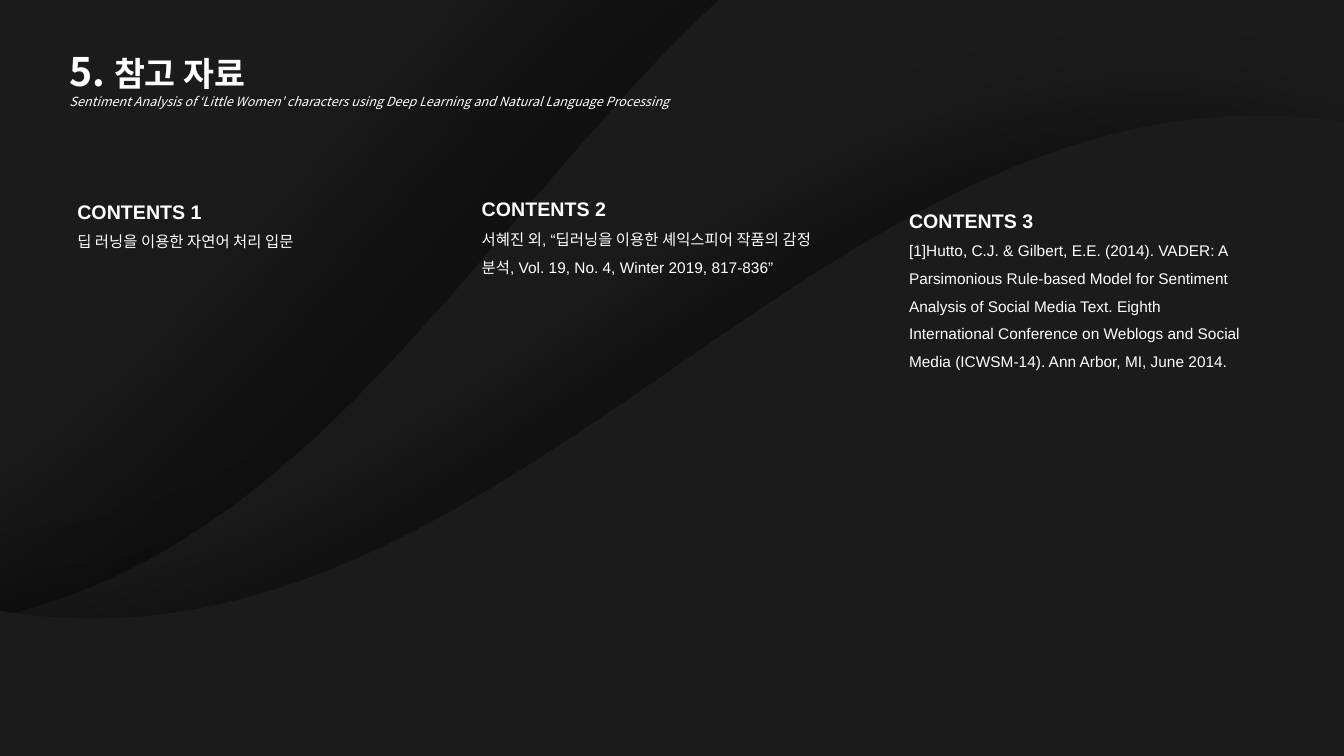
from lxml import etree
from pptx import Presentation
from pptx.dml.color import RGBColor
from pptx.enum.shapes import MSO_SHAPE
from pptx.enum.text import MSO_ANCHOR
from pptx.oxml.ns import qn
from pptx.util import Cm, Pt

WAVE = MSO_SHAPE.WAVE
MIDDLE = MSO_ANCHOR.MIDDLE
CHARCOAL = RGBColor(0x1B, 0x1B, 0x1B)
WHITE = RGBColor(0xFF, 0xFF, 0xFF)
LATIN_FONT = "Arial"
KOREAN_FONT = "Noto Sans CJK KR"


def add_shadow(shape, blur, distance):
    """Cast a soft black shadow to the left of the shape."""
    effects = etree.SubElement(shape.element.spPr, qn("a:effectLst"))
    shadow = etree.SubElement(
        effects, qn("a:outerShdw"), blurRad=str(Pt(blur)), dist=str(Pt(distance)),
        dir="10800000", algn="r", rotWithShape="0")
    color = etree.SubElement(shadow, qn("a:srgbClr"), val="000000")
    etree.SubElement(color, qn("a:alpha"), val="40000")


def add_text(page, place, paragraphs, line_spacing=None, margin=None):
    """Add a text box; each paragraph is a list of (text, font values)."""
    box = page.shapes.add_textbox(*(Cm(length) for length in place))
    frame = box.text_frame
    frame.word_wrap = True
    frame.vertical_anchor = MIDDLE
    if margin is not None:
        for side in ("left", "top", "right", "bottom"):
            setattr(frame, f"margin_{side}", margin)
    for index, spans in enumerate(paragraphs):
        para = frame.add_paragraph() if index else frame.paragraphs[0]
        para.line_spacing = line_spacing
        for text, values in spans:
            span = para.add_run()
            span.text = text
            span.font.color.rgb = WHITE
            for name, value in values.items():
                setattr(span.font, name, value)
            etree.SubElement(span.font._element, qn("a:ea"), typeface=KOREAN_FONT)


deck = Presentation()
deck.slide_width, deck.slide_height = Cm(33.87), Cm(19.05)
page = deck.slides.add_slide(deck.slide_layouts[6])
page.background.fill.solid()
page.background.fill.fore_color.rgb = CHARCOAL

# Background waves: left, top, rotation, shadow blur, shadow distance
waves = [(-3.23, 1.37, 330, 100, 123), (-1.4, 6.02, 345, 68, 75)]
for left, top, rotation, blur, distance in waves:
    wave = page.shapes.add_shape(WAVE, Cm(left), Cm(top), Cm(41.38), Cm(23.42))
    wave.rotation = rotation
    wave.element.spPr.xfrm.set("flipH", "1")
    wave.fill.solid()
    wave.fill.fore_color.rgb = CHARCOAL
    wave.line.fill.background()
    add_shadow(wave, blur, distance)

# References: left, top, height, text
HEADING = {"size": Pt(14), "name": LATIN_FONT, "bold": True}
BODY = {"size": Pt(11), "name": LATIN_FONT, "bold": False}
references = [
    (1.7, 3, 5.05, "딥 러닝을 이용한 자연어 처리 입문"),
    (11.89, 4.29, 3.05,
     "서혜진 외, “딥러닝을 이용한 셰익스피어 작품의 감정 분석, "
     "Vol. 19, No. 4, Winter 2019, 817-836”"),
    (22.66, 4.29, 5.72,
     "[1]Hutto, C.J. & Gilbert, E.E. (2014). VADER: A Parsimonious Rule-based "
     "Model for Sentiment Analysis of Social Media Text. Eighth International "
     "Conference on Weblogs and Social Media (ICWSM-14). Ann Arbor, MI, June 2014."),
]
for number, (left, top, height, reference) in enumerate(references, start=1):
    add_text(page, (left, top, 9.09, height),
             [[(f"CONTENTS {number}", HEADING)], [(reference, BODY)]],
             line_spacing=1.5)

# Title
TITLE = {"name": KOREAN_FONT, "bold": True}
SUBTITLE = {"name": KOREAN_FONT, "size": Pt(9), "bold": False, "italic": True}
add_text(page, (1.75, 0.36, 18.75, 3.23), [
    [("5. ", {**TITLE, "size": Pt(28)}), ("참고 자료", {**TITLE, "size": Pt(24)})],
    [("Sentiment Analysis of ‘Little Women' characters using Deep Learning "
      "and Natural Language Processing", SUBTITLE)],
], margin=0)

deck.save("out.pptx")
